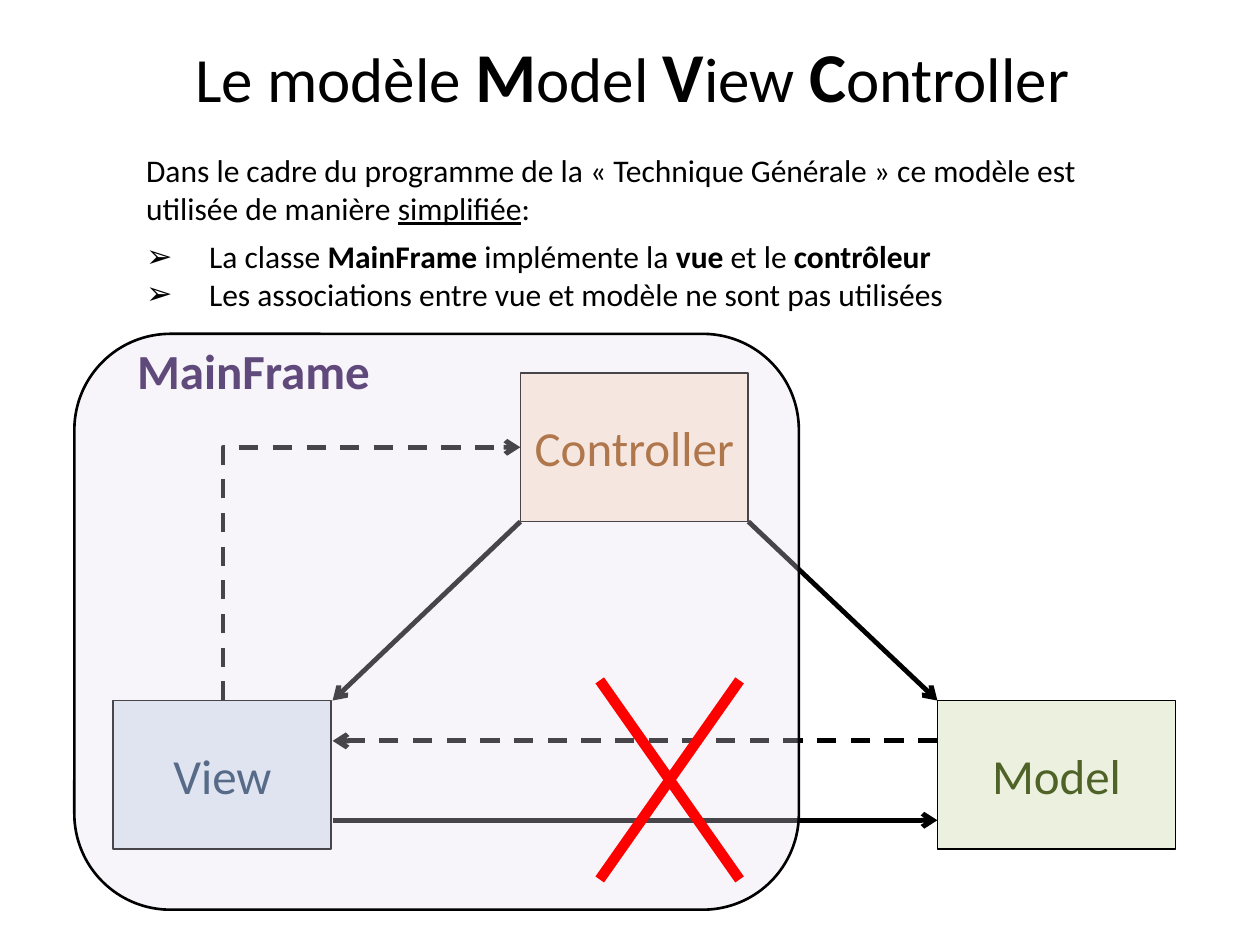
from lxml.etree import SubElement
from pptx import Presentation
from pptx.dml.color import RGBColor
from pptx.enum.dml import MSO_LINE_DASH_STYLE as DASH
from pptx.enum.shapes import MSO_CONNECTOR as CONN, MSO_SHAPE as SHAPE
from pptx.enum.text import MSO_ANCHOR as ANCHOR, MSO_AUTO_SIZE as FIT, PP_ALIGN as ALIGN
from pptx.oxml.ns import qn
from pptx.util import Inches, Pt

FONT = "Calibri"
BLACK = "000000"


def rgb(color):
    return RGBColor.from_string(color)


def add_runs(p, parts, size, color=BLACK, bold_size=None):
    """Write (text, style) parts; style may hold b (bold) and u (underline)."""
    for text, style in parts:
        r = p.add_run()
        r.text = text
        f = r.font
        f.name, f.bold, f.underline = FONT, "b" in style, "u" in style
        f.size = Pt(bold_size if bold_size and "b" in style else size)
        f.color.rgb = rgb(color)


def place(sp, x, y, w, h):
    sp.left, sp.top, sp.width, sp.height = map(Inches, (x, y, w, h))


def prepare_frame(sp, wrap=True, anchor=ANCHOR.TOP):
    tf = sp.text_frame
    tf.word_wrap, tf.auto_size, tf.vertical_anchor = wrap, FIT.NONE, anchor
    return tf


def set_bullet(p, char=None, indent=0.0):
    pPr = p._p.get_or_add_pPr()
    pPr.set("marL", str(Inches(indent)))
    pPr.set("indent", str(-Inches(indent)))
    if char:
        SubElement(pPr, qn("a:buChar")).set("char", char)
    else:
        SubElement(pPr, qn("a:buNone"))


def fill_title(sp):
    place(sp, 1.45, 0.21, 7.15, 0.77)
    p = prepare_frame(sp, wrap=False).paragraphs[0]
    p.alignment = ALIGN.LEFT
    parts = [("Le modèle ", ""), ("M", "b"), ("odel ", ""), ("V", "b"),
             ("iew ", ""), ("C", "b"), ("ontroller", "")]
    add_runs(p, parts, 36, bold_size=40)


def fill_body(sp):
    place(sp, 1.06, 1.15, 8.27, 1.39)
    tf = prepare_frame(sp)
    intro = [("Dans le cadre du programme de la «\u00a0Technique Générale\u00a0»\u00a0"
              "ce modèle est utilisée de manière ", ""), ("simplifiée", "u"), (":", "")]
    items = [
        [("La classe ", ""), ("MainFrame", "b"), (" implémente la ", ""),
         ("vue", "b"), (" et le ", ""), ("contrôleur", "b")],
        [("Les associations entre vue et modèle ne sont pas utilisées", "")],
    ]
    p = tf.paragraphs[0]
    set_bullet(p)
    p.space_before, p.space_after = Pt(0), Pt(6)
    add_runs(p, intro, 18)
    for item in items:
        p = tf.add_paragraph()
        set_bullet(p, "➢", 0.5)
        p.space_before = Pt(0)
        add_runs(p, item, 18)


def add_box(s, shape, x, y, w, h, fill, line_width=1):
    sp = s.shapes.add_shape(shape, *map(Inches, (x, y, w, h)))
    sp.shadow.inherit = False
    sp.fill.solid()
    sp.fill.fore_color.rgb = rgb(fill)
    sp.line.color.rgb = rgb(BLACK)
    sp.line.width = Pt(line_width)
    return sp


def add_class_box(s, name, x, y, w, fill, color):
    sp = add_box(s, SHAPE.RECTANGLE, x, y, w, 1.18, fill)
    p = prepare_frame(sp, anchor=ANCHOR.MIDDLE).paragraphs[0]
    p.alignment = ALIGN.CENTER
    add_runs(p, [(name, "")], 28, color)


def add_line(shapes, start, end, color=BLACK, width=2.75, dashed=False, arrow=True):
    c = shapes.add_connector(CONN.STRAIGHT, *map(Inches, start + end))
    c.line.color.rgb = rgb(color)
    c.line.width = Pt(width)
    if dashed:
        c.line.dash_style = DASH.DASH
    if arrow:
        SubElement(c.line._get_or_add_ln(), qn("a:tailEnd")).set("type", "arrow")
    SubElement(c._element.spPr, qn("a:effectLst"))
    return c


def add_corner_arrow(s, start, end):
    """Dashed arrow that goes straight up, then right."""
    (x1, y1), (x2, y2) = start, end
    cx, cy = (x1 + x2) / 2, (y1 + y2) / 2
    dx, dy = (y1 - y2) / 2, (x2 - x1) / 2  # half sizes before the quarter turn
    c = add_line(s.shapes, (cx + dx, cy + dy), (cx - dx, cy - dy), dashed=True)
    spPr = c._element.spPr
    spPr.find(qn("a:xfrm")).set("rot", "5400000")
    spPr.find(qn("a:prstGeom")).set("prst", "bentConnector2")


def add_main_frame(s):
    sp = add_box(s, SHAPE.ROUNDED_RECTANGLE, 0.59, 2.65, 5.75, 4.57, "E6E0EC", 1.5)
    color = sp.fill._xPr.find(qn("a:solidFill"))[0]
    SubElement(color, qn("a:alpha")).set("val", "31000")
    label = s.shapes.add_textbox(*map(Inches, (0.99, 2.65, 2.05, 0.57)))
    tf = prepare_frame(label, wrap=False)
    add_runs(tf.paragraphs[0], [("MainFrame", "b")], 28, "604A7B")
    s.shapes.add_group_shape([sp, label])


def add_cross(s, left, top, right, bottom):
    group = s.shapes.add_group_shape()
    for x1, x2 in ((right, left), (left, right)):
        add_line(group.shapes, (x1, top), (x2, bottom), "FF0000", 6, arrow=False)


def main():
    prs = Presentation()
    prs.slide_width, prs.slide_height = Inches(10), Inches(7.5)
    s = prs.slides.add_slide(prs.slide_layouts[1])

    # Title and introduction
    fill_title(s.shapes.title)
    fill_body(s.placeholders[1])

    # Classes
    add_class_box(s, "View", 0.9, 5.56, 1.73, "DCE6F2", "17375E")
    add_class_box(s, "Controller", 4.13, 2.96, 1.81, "FDEADA", "984807")
    add_class_box(s, "Model", 7.44, 5.56, 1.89, "EBF1DE", "4F6228")

    # Associations
    view_right, model_left, low_top = 2.64, 7.44, 5.56
    add_corner_arrow(s, (1.77, low_top), (4.13, 3.55))
    add_line(s.shapes, (model_left, 5.88), (view_right, 5.88), dashed=True)
    add_line(s.shapes, (4.13, 4.14), (view_right, low_top))
    add_line(s.shapes, (5.94, 4.14), (model_left, low_top))
    add_line(s.shapes, (view_right, 6.51), (model_left, 6.51))

    # Frame over view and controller, cross over unused associations
    add_main_frame(s)
    add_cross(s, 4.76, 5.4, 5.87, 6.98)

    prs.save("out.pptx")


main()
